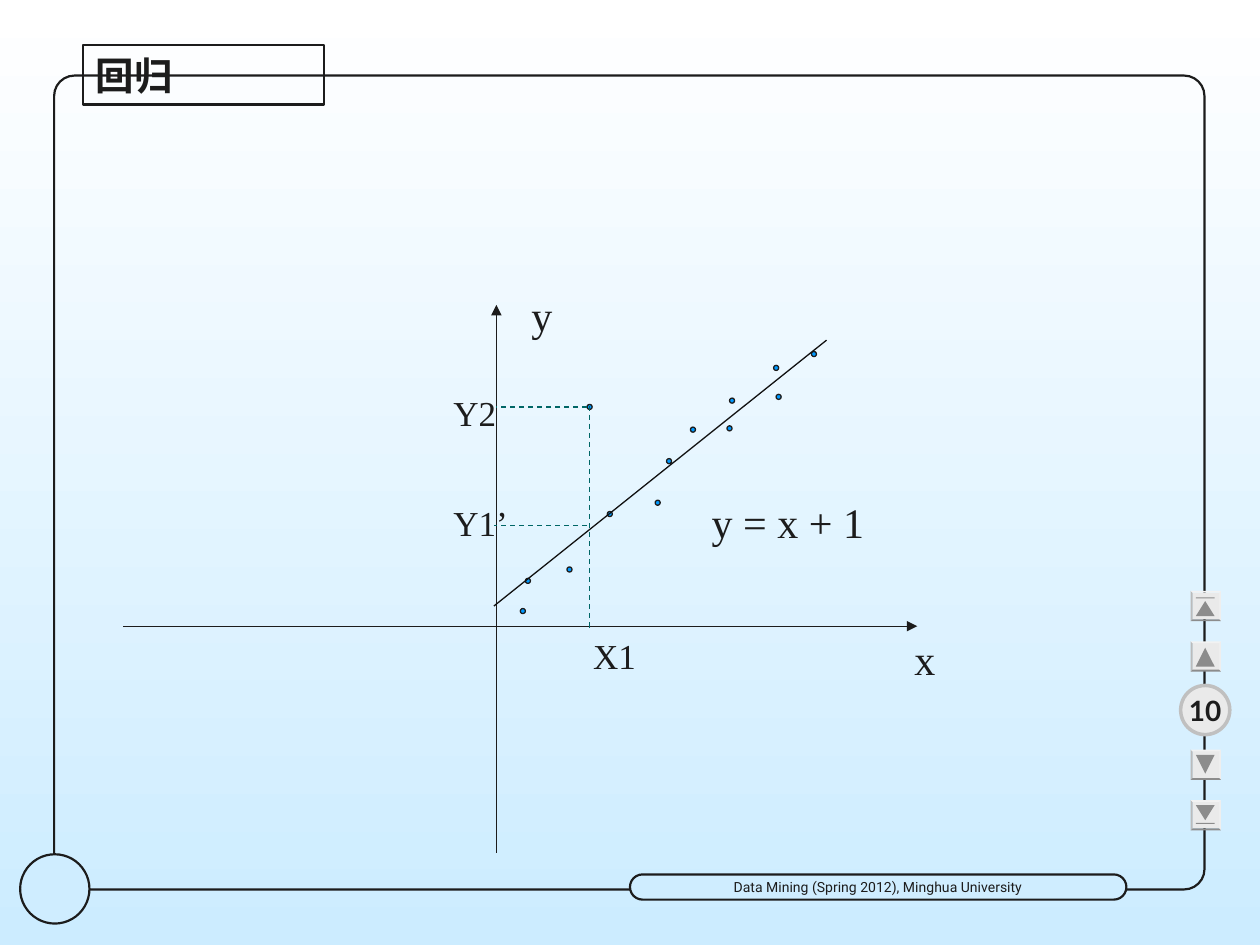
from lxml.etree import SubElement
from pptx import Presentation
from pptx.dml.color import RGBColor
from pptx.enum.dml import MSO_LINE
from pptx.enum.shapes import MSO_CONNECTOR, MSO_SHAPE
from pptx.enum.text import MSO_ANCHOR, MSO_AUTO_SIZE, PP_ALIGN
from pptx.oxml.ns import qn
from pptx.util import Inches, Pt

COLORS = {
    "ink": "1C1C1C", "fit": "111111", "guide": "006666", "point": "0099FF",
    "sky_top": "FFFFFF", "sky_bottom": "CCECFF", "badge": "CFEDFF",
    "button": "EAEAEA", "ring": "C0C0C0", "arrow": "8C8C8C",
}
POINTS = [
    (1.28, 0.98), (0.9, 0.89), (0.74, 1.74), (0.58, 0.45), (1.37, 1.31),
    (1.56, 1.56), (0.25, 0.36), (1.85, 1.57), (1.87, 1.79), (2.24, 1.82),
    (0.21, 0.12), (2.22, 2.05), (2.52, 2.16),
]
LABELS = [
    ("x", 3.22, 0.01, 0.36, 24), ("y", 0.18, -2.72, 0.36, 24),
    ("y = x + 1", 1.61, -1.08, 1.41, 24), ("X1", 0.67, 0.02, 0.54, 20),
    ("Y2", -0.44, -1.91, 0.54, 20), ("Y1’", -0.44, -1.04, 0.63, 20),
]


def rgb(name):
    """Look up a palette colour."""
    return RGBColor.from_string(COLORS[name])


def add_shape(s, kind, left, top, width, height, fill=None, line=None, weight=1.25):
    """Add a flat preset shape with an optional fill and outline."""
    sp = s.shapes.add_shape(kind, Inches(left), Inches(top), Inches(width), Inches(height))
    sp.shadow.inherit = False
    if fill:
        sp.fill.solid()
        sp.fill.fore_color.rgb = rgb(fill)
    else:
        sp.fill.background()
    if line:
        sp.line.color.rgb = rgb(line)
        sp.line.width = Pt(weight)
    else:
        sp.line.fill.background()
    return sp


def add_line(s, x1, y1, x2, y2, color="ink", dashed=False, arrow=False):
    """Add a thin straight line, optionally dashed or with an arrowhead."""
    line = s.shapes.add_connector(
        MSO_CONNECTOR.STRAIGHT, Inches(x1), Inches(y1), Inches(x2), Inches(y2))
    line.line.color.rgb = rgb(color)
    line.line.width = Pt(0.75)
    if dashed:
        line.line.dash_style = MSO_LINE.DASH
    if arrow:
        SubElement(line.line._get_or_add_ln(), qn("a:tailEnd"), type="triangle")
    SubElement(line._element.spPr, qn("a:effectLst"))


def set_text(sp, text, size, font, bold=False, align=PP_ALIGN.LEFT):
    """Write one formatted line of text into a shape."""
    tf = sp.text_frame
    tf.text = text
    tf.word_wrap = False
    p = tf.paragraphs[0]
    p.alignment = align
    r = p.runs[0]
    r.font.size, r.font.name, r.font.bold = Pt(size), font, bold
    r.font.color.rgb = rgb("ink")


def set_badge_text(sp, text, size, font, bold=False):
    """Centre text in a badge with narrow margins."""
    set_text(sp, text, size, font, bold, PP_ALIGN.CENTER)
    tf = sp.text_frame
    tf.vertical_anchor = MSO_ANCHOR.MIDDLE
    tf.margin_left = tf.margin_right = tf.margin_top = tf.margin_bottom = Inches(0.04)


def draw_background(s):
    """Fill the slide with a vertical gradient."""
    fill = s.background.fill
    fill.gradient()
    fill.gradient_angle = 270
    for stop, name, position in zip(fill.gradient_stops, ("sky_top", "sky_bottom"), (0, 1)):
        stop.color.rgb = rgb(name)
        stop.position = position


def draw_frame(s, left, top, width, height):
    """Draw the rounded frame with its corner disc and footer."""
    frame = add_shape(s, MSO_SHAPE.ROUNDED_RECTANGLE, left, top, width, height, line="ink")
    frame.adjustments[0] = 0.025
    bottom = top + height
    add_shape(s, MSO_SHAPE.OVAL, left - 0.27, bottom - 0.28, 0.55, 0.55, "badge", "ink")
    footer = add_shape(s, MSO_SHAPE.ROUNDED_RECTANGLE, left + 4.57, bottom - 0.12,
                       3.94, 0.2, "badge", "ink")
    footer.adjustments[0] = 0.5
    set_badge_text(footer, "Data Mining (Spring 2012), Minghua University", 8, "Roboto")


def draw_button(s, left, top, size, down, bar):
    """Draw a bevelled button with a triangle and an optional end bar."""
    button = add_shape(s, MSO_SHAPE.BEVEL, left, top, size, size, "button")
    button.adjustments[0] = 0.06
    button.rotation = 90
    height = 0.12 if bar else 0.15
    y = top + (0.04 if down else size - 0.04 - height)
    triangle = add_shape(s, MSO_SHAPE.ISOSCELES_TRIANGLE, left + 0.04, y, 0.15, height, "arrow")
    triangle.rotation = 180 if down else 0
    if bar:
        add_shape(s, MSO_SHAPE.RECTANGLE, left + 0.04, top + (0.18 if down else 0.05),
                  0.15, 0.01, "arrow")


def draw_navigation(s, left, top, width):
    """Draw the page number between two pairs of navigation buttons."""
    disc = add_shape(s, MSO_SHAPE.OVAL, left, top + 0.75, width, width, "button", "ring", 2)
    set_badge_text(disc, "10", 16, "Lato", True)
    for dy, down, bar in ((0, False, True), (0.4, False, False),
                          (1.26, True, False), (1.66, True, True)):
        draw_button(s, left + 0.08, top + dy, 0.24, down, bar)


def draw_title(s, left, top, width, height):
    """Place the outlined slide title."""
    title = s.shapes.title
    title.left, title.top = Inches(left), Inches(top)
    title.width, title.height = Inches(width), Inches(height)
    title.line.color.rgb = rgb("ink")
    title.line.width = Pt(1.25)
    set_text(title, "回归", 22, "Roboto", True)
    tf = title.text_frame
    tf.word_wrap = True
    tf.auto_size = MSO_AUTO_SIZE.NONE
    tf.vertical_anchor = MSO_ANCHOR.MIDDLE


def draw_regression(s, left, top, width, height):
    """Draw the axes, observations, fitted line, guides and labels."""
    x0, y0 = left + 2.96, top + 2.55
    add_line(s, left, y0, left + width, y0, arrow=True)
    add_line(s, x0, top + height, x0, top, arrow=True)
    for dx, dy in POINTS:
        add_shape(s, MSO_SHAPE.OVAL, x0 + dx - 0.02, y0 - dy - 0.02, 0.04, 0.04,
                  "point", "ink", 0.75)
    add_line(s, x0 - 0.02, y0 - 0.16, x0 + 2.62, y0 - 2.27, "fit")
    for x1, y1, x2, y2 in ((0.74, -1.75, 0.74, 0.02), (0.72, -1.74, 0, -1.74),
                           (0.72, -0.8, -0.02, -0.8)):
        add_line(s, x0 + x1, y0 + y1, x0 + x2, y0 + y2, "guide", dashed=True)
    for text, dx, dy, label_width, size in LABELS:
        label = s.shapes.add_textbox(Inches(x0 + dx), Inches(y0 + dy), Inches(label_width),
                                     Inches(0.5 if size == 24 else 0.44))
        set_text(label, text, size, "Times New Roman")


def main():
    """Build and save the slide."""
    prs = Presentation()
    prs.slide_width, prs.slide_height = Inches(10), Inches(7.5)
    s = prs.slides.add_slide(prs.slide_layouts[5])
    draw_background(s)
    draw_frame(s, 0.43, 0.6, 9.13, 6.46)
    draw_navigation(s, 9.37, 4.69, 0.39)
    draw_title(s, 0.66, 0.36, 1.91, 0.47)
    draw_regression(s, 0.98, 2.42, 6.3, 4.35)
    prs.save("out.pptx")


if __name__ == "__main__":
    main()
